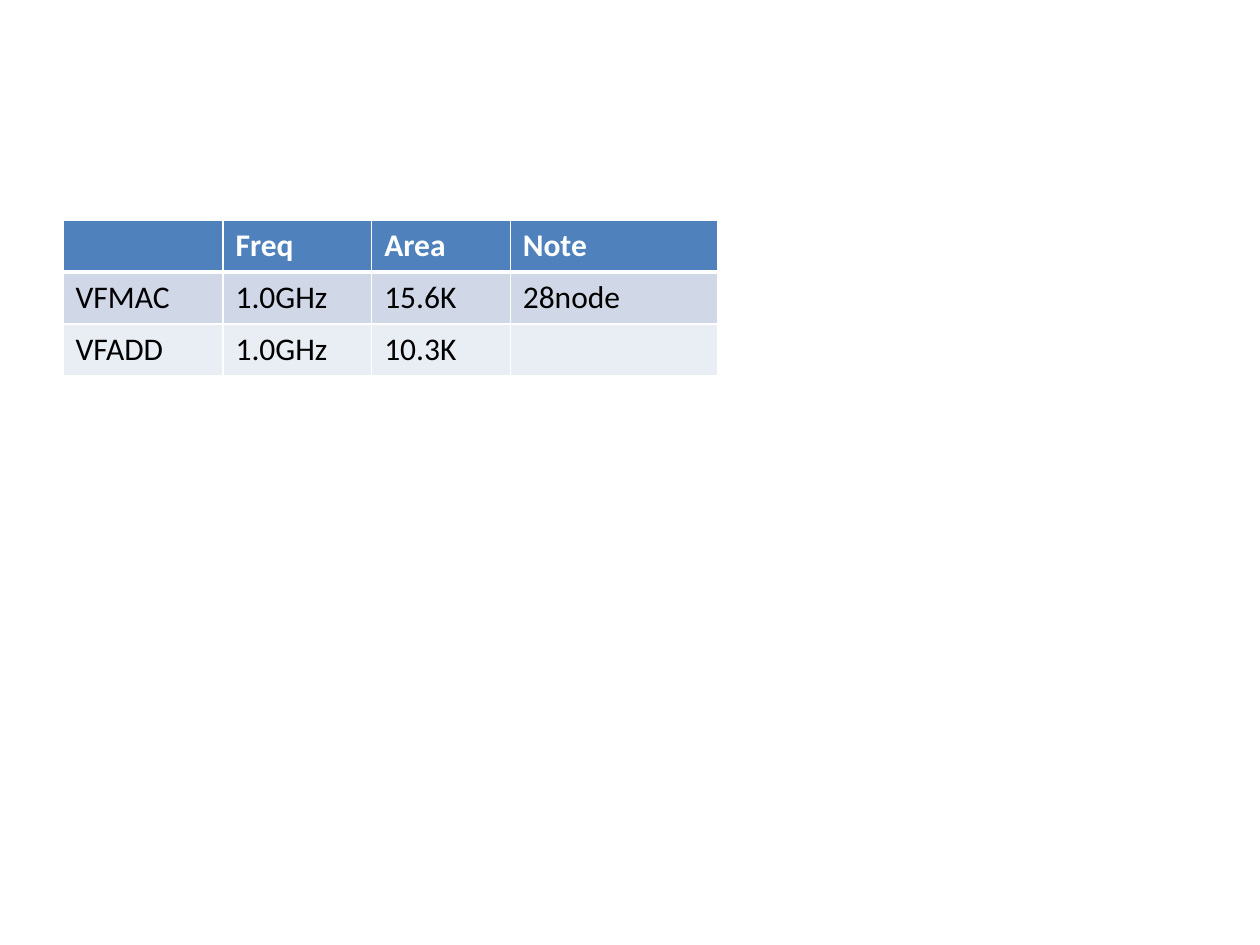
from lxml.etree import SubElement
from pptx import Presentation
from pptx.dml.color import RGBColor
from pptx.oxml.ns import qn
from pptx.util import Inches, Pt

COLORS = {
    "header": "4F81BD",
    "bands": ["D0D8E8", "E9EDF4"],
    "border": "FFFFFF",
    "header_text": "FFFFFF",
    "body_text": "000000",
}
COLUMN_WIDTHS = [1.27, 1.18, 1.1, 1.65]
ROW_HEIGHT = 0.41
ROWS = [
    ["", "Freq", "Area", "Note"],
    ["VFMAC", "1.0GHz", "15.6K", "28node"],
    ["VFADD", "1.0GHz", "10.3K", ""],
]


def set_borders(cell, row_index):
    properties = cell._tc.get_or_add_tcPr()
    widths = {"L": 1, "R": 1, "T": 3 if row_index == 1 else 1, "B": 3 if row_index == 0 else 1}
    for side, width in widths.items():
        line = SubElement(properties, qn(f"a:ln{side}"), w=str(Pt(width)))
        fill = SubElement(line, qn("a:solidFill"))
        SubElement(fill, qn("a:srgbClr"), val=COLORS["border"])


def fill_cell(cell, text, row_index):
    is_header = row_index == 0
    set_borders(cell, row_index)
    cell.fill.solid()
    background = COLORS["header"] if is_header else COLORS["bands"][(row_index - 1) % 2]
    cell.fill.fore_color.rgb = RGBColor.from_string(background)
    cell.text = text
    font = cell.text_frame.paragraphs[0].font
    font.name = "Calibri"
    font.size = Pt(18)
    font.bold = is_header
    font.color.rgb = RGBColor.from_string(COLORS["header_text" if is_header else "body_text"])


def add_results_table(page):
    table = page.shapes.add_table(
        len(ROWS), len(COLUMN_WIDTHS), Inches(0.5), Inches(1.75),
        Inches(sum(COLUMN_WIDTHS)), Inches(ROW_HEIGHT * len(ROWS)),
    ).table
    for column, width in zip(table.columns, COLUMN_WIDTHS):
        column.width = Inches(width)
    for row_index, texts in enumerate(ROWS):
        table.rows[row_index].height = Inches(ROW_HEIGHT)
        for column_index, text in enumerate(texts):
            fill_cell(table.cell(row_index, column_index), text, row_index)


def main():
    deck = Presentation()
    deck.slide_width = Inches(10)
    deck.slide_height = Inches(7.5)
    page = deck.slides.add_slide(deck.slide_layouts[6])
    add_results_table(page)
    deck.save("out.pptx")


if __name__ == "__main__":
    main()
